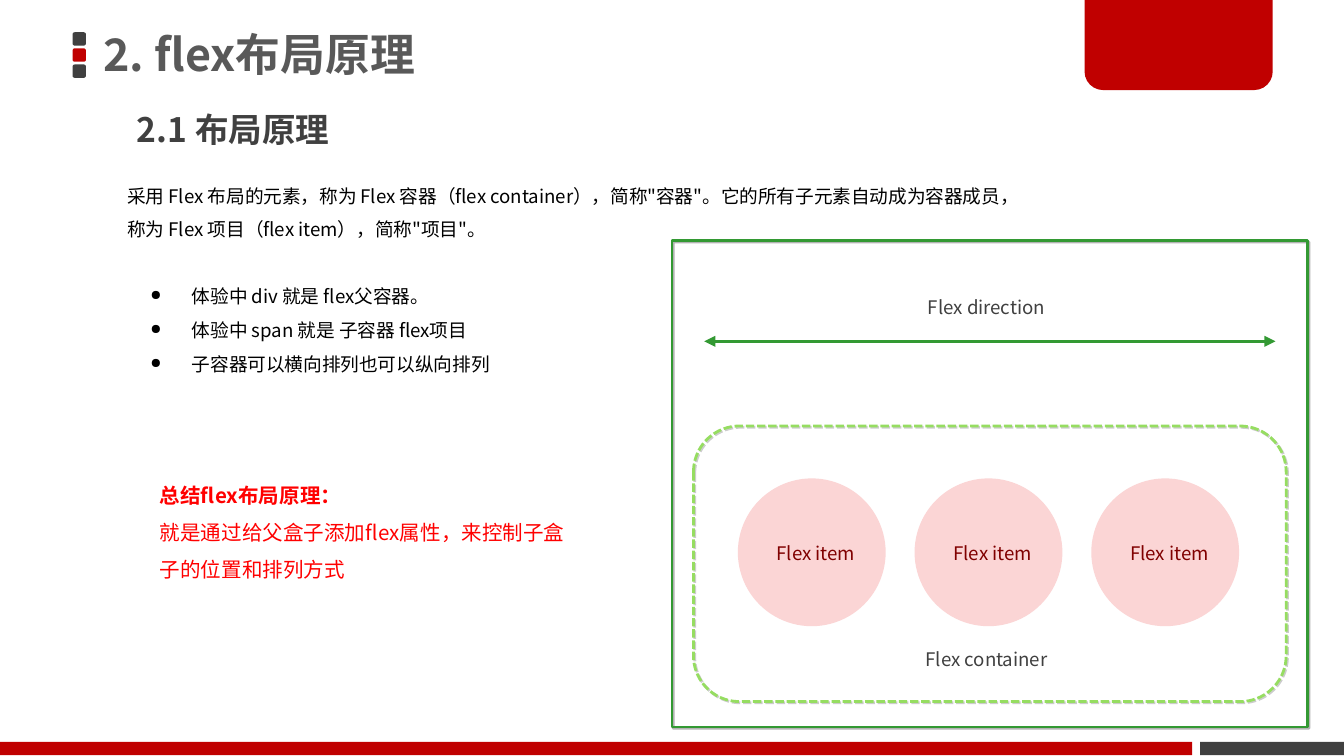
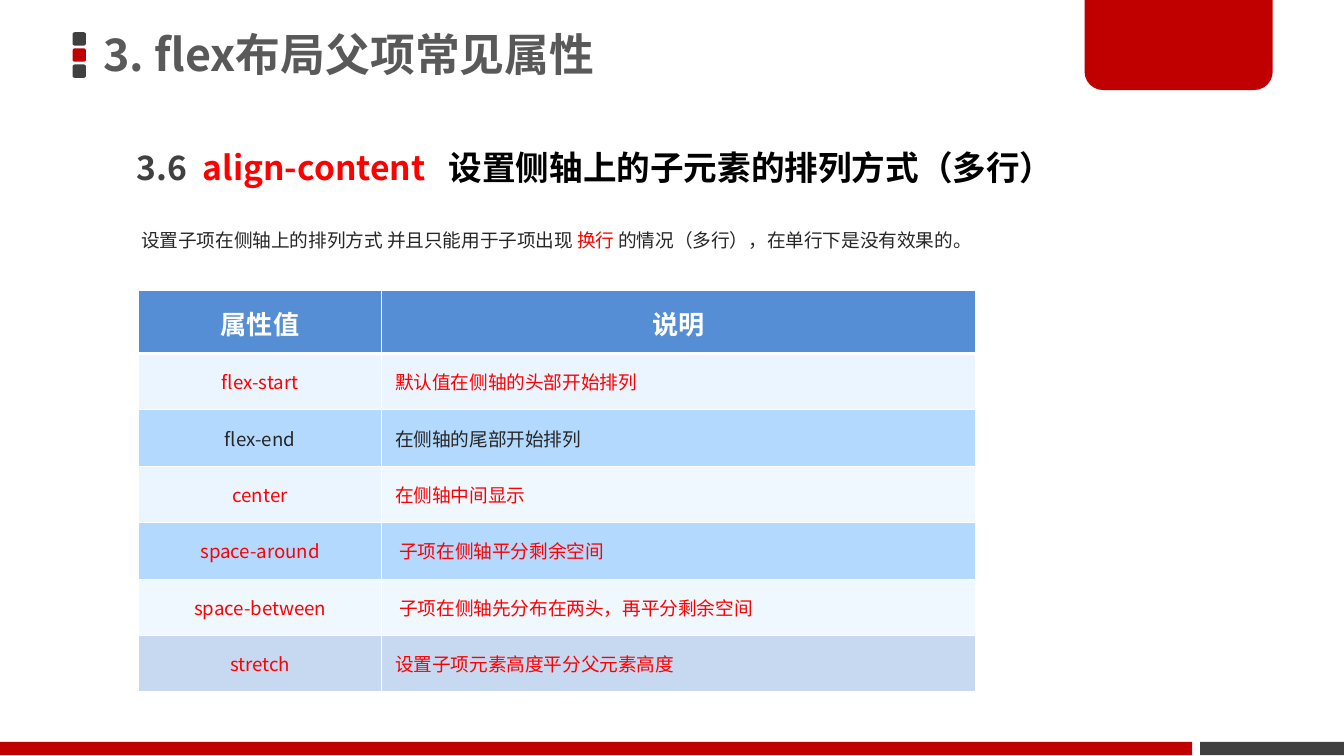
from dataclasses import dataclass

from lxml.etree import SubElement
from pptx import Presentation
from pptx.dml.color import RGBColor
from pptx.enum.dml import MSO_LINE
from pptx.enum.shapes import MSO_CONNECTOR, MSO_SHAPE
from pptx.enum.text import MSO_ANCHOR, MSO_AUTO_SIZE, PP_ALIGN
from pptx.oxml import parse_xml
from pptx.oxml.ns import nsdecls, qn
from pptx.util import Inches, Pt


@dataclass(frozen=True)
class Theme:
    font: str = "Noto Sans CJK SC"
    red: str = "C00000"
    dark: str = "404040"
    title: str = "595959"
    body: str = "262626"
    black: str = "000000"
    white: str = "FFFFFF"
    alert: str = "FF0000"
    green: str = "339933"
    lime: str = "96DD61"
    pink: str = "FBD5D5"
    maroon: str = "800000"
    header_blue: str = "558ED5"
    pale_blue: str = "EBF5FF"
    light_blue: str = "EFF7FF"
    sky_blue: str = "B3D9FF"
    grey_blue: str = "C6D9F1"
    title_size: int = 24
    heading_size: int = 18
    header_size: int = 14
    summary_size: int = 11
    body_size: int = 10


THEME = Theme()
BODY = {"size": THEME.body_size}
HEADING = {"size": THEME.heading_size, "bold": True}
OPEN_SPACING = {"line_spacing": 1.5}
CENTERED = {"alignment": PP_ALIGN.CENTER}


def inches(*lengths):
    return [Inches(length) for length in lengths]


def set_attributes(target, values):
    for name, value in values.items():
        setattr(target, name, value)


def fill_with(target, color):
    target.fill.solid()
    target.fill.fore_color.rgb = RGBColor.from_string(color)


def add_run(paragraph, text, color, size, bold=False):
    run = paragraph.add_run()
    run.text = text
    set_attributes(run.font, {"name": THEME.font, "size": Pt(size), "bold": bold})
    run.font.color.rgb = RGBColor.from_string(color)
    SubElement(run.font._element, qn("a:ea"), typeface=THEME.font)


def write(frame, paragraphs, layout=None, bullet=None, margin=0, indent=0, tabs=()):
    """Fill a text frame; each paragraph is a list of (text, color, font values)."""
    for number, runs in enumerate(paragraphs):
        paragraph = frame.add_paragraph() if number else frame.paragraphs[0]
        properties = paragraph._p.get_or_add_pPr()
        if margin:
            properties.set("marL", str(Inches(margin)))
            properties.set("indent", str(Inches(indent)))
        if bullet:
            bullet_color = SubElement(properties, qn("a:buClr"))
            SubElement(bullet_color, qn("a:srgbClr"), val=THEME.black)
            SubElement(properties, qn("a:buSzPct"), val="75000")
            SubElement(properties, qn("a:buChar"), char=bullet)
        if tabs:
            stops = SubElement(properties, qn("a:tabLst"))
            for stop in tabs:
                SubElement(stops, qn("a:tab"), pos=str(Inches(stop)), algn="l")
        set_attributes(paragraph, layout or {})
        for text, color, font in runs:
            add_run(paragraph, text, color, **font)


def add_text(slide, box, paragraphs, layout=None, frame_values=None, **paragraph_marks):
    frame = slide.shapes.add_textbox(*inches(*box)).text_frame
    set_attributes(frame, {"word_wrap": True, "auto_size": MSO_AUTO_SIZE.SHAPE_TO_FIT_TEXT,
                           **(frame_values or {})})
    write(frame, paragraphs, layout, **paragraph_marks)


def add_block(slide, preset, box, color, adjustments=()):
    block = slide.shapes.add_shape(preset, *inches(*box))
    block.shadow.inherit = False
    fill_with(block, color)
    block.line.fill.background()
    for number, value in enumerate(adjustments):
        block.adjustments[number] = value


def add_outline(slide, preset, box, color, shadow_color, dash=None):
    """Add an unfilled frame with a thin offset shadow."""
    outline = slide.shapes.add_shape(preset, *inches(*box))
    outline.fill.background()
    outline.line.color.rgb = RGBColor.from_string(color)
    set_attributes(outline.line, {"width": Pt(1.5), "dash_style": dash})
    outline.shadow.inherit = False
    effects = outline._element.spPr.find(qn("a:effectLst"))
    shadow = SubElement(effects, qn("a:outerShdw"), blurRad="0", dist=str(Pt(1)),
                        dir=str(45 * 60000), algn="tl", rotWithShape="0")
    tint = SubElement(shadow, qn("a:srgbClr"), val=shadow_color)
    SubElement(tint, qn("a:alpha"), val="30000")


def add_double_arrow(slide, start, end, color):
    arrow = slide.shapes.add_connector(MSO_CONNECTOR.STRAIGHT, *inches(*start, *end))
    arrow.line.color.rgb = RGBColor.from_string(color)
    arrow.line.width = Pt(1.5)
    line = arrow.line._get_or_add_ln()
    for side in ("a:headEnd", "a:tailEnd"):
        SubElement(line, qn(side), type="triangle")
    SubElement(arrow._element.spPr, qn("a:effectLst"))


def add_titled_slide(deck, title):
    """Add a slide with the shared marks, corner tab, footer bands and title."""
    slide = deck.slides.add_slide(deck.slide_layouts[6])
    for number, color in enumerate((THEME.dark, THEME.red, THEME.dark)):
        add_block(slide, MSO_SHAPE.ROUNDED_RECTANGLE,
                  (0.54, 0.24 + 0.12 * number, 0.1, 0.1), color)
    add_block(slide, MSO_SHAPE.RECTANGLE, (8.93, 5.52, 1.07, 0.1), THEME.dark)
    add_block(slide, MSO_SHAPE.ROUND_2_SAME_RECTANGLE, (8.07, -0.02, 1.4, 0.69),
              THEME.red, (0, 0.2))
    add_block(slide, MSO_SHAPE.RECTANGLE, (0, 5.52, 8.87, 0.1), THEME.red)
    add_text(slide, (0.69, -0.02, 5.89, 0.89),
             [[(title, THEME.title, {"size": THEME.title_size, "bold": True})]],
             {"line_spacing": 0.9},
             {"auto_size": MSO_AUTO_SIZE.NONE, "vertical_anchor": MSO_ANCHOR.MIDDLE,
              "margin_left": Inches(0.08), "margin_right": Inches(0.08),
              "margin_top": Inches(0.04), "margin_bottom": Inches(0.04)})
    return slide


def add_label(slide, left, top, width, text, color):
    add_text(slide, (left, top, width, 0.27), [[(text, color, BODY)]], CENTERED)


def add_flex_diagram(slide):
    first_item, last_item, item_size = 5.49, 8.12, 1.1
    item_step = (last_item - first_item) / 2
    for number in range(3):
        left = first_item + item_step * number
        add_block(slide, MSO_SHAPE.OVAL, (left, 3.56, item_size, item_size), THEME.pink)
        add_label(slide, left - 0.13, 3.98, 1.42, "Flex item", THEME.maroon)
    add_outline(slide, MSO_SHAPE.ROUNDED_RECTANGLE, (5.16, 3.17, 4.41, 2.05),
                THEME.lime, THEME.title, MSO_LINE.SQUARE_DOT)
    add_label(slide, 6.39, 4.77, 1.9, "Flex container", THEME.dark)
    add_double_arrow(slide, (9.49, 2.54), (5.24, 2.54), THEME.green)
    add_label(slide, 6.39, 2.15, 1.9, "Flex direction", THEME.dark)
    add_outline(slide, MSO_SHAPE.RECTANGLE, (5, 1.79, 4.73, 3.62), THEME.green, THEME.black)


def set_borders(cell, top, bottom):
    properties = cell._tc.get_or_add_tcPr()
    widths = {"lnL": 0.45, "lnR": 0.45, "lnT": top, "lnB": bottom}
    for position, (side, width) in enumerate(widths.items()):
        properties.insert(position, parse_xml(
            f'<a:{side} {nsdecls("a")} w="{Pt(width)}"><a:solidFill>'
            f'<a:srgbClr val="{THEME.white}"/></a:solidFill></a:{side}>'))


def add_value_table(slide, headers, rows):
    """Rows hold value, description, text color and the fills of both cells."""
    header_height, row_height, widths = 0.47, 0.42, (1.81, 4.42)
    height = header_height + row_height * len(rows)
    table = slide.shapes.add_table(len(rows) + 1, len(widths),
                                   *inches(1.03, 2.16, sum(widths), height)).table
    for column, width in zip(table.columns, widths):
        column.width = Inches(width)
    for number, row in enumerate(table.rows):
        row.height = Inches(row_height if number else header_height)

    header_font = {"size": THEME.header_size, "bold": True}
    for column, header in enumerate(headers):
        cell = table.cell(0, column)
        fill_with(cell, THEME.header_blue)
        set_borders(cell, 0.45, 1.47)
        write(cell.text_frame, [[(header, THEME.white, header_font)]],
              {**CENTERED, "line_spacing": Pt(24)})

    for number, (value, description, color, fills) in enumerate(rows, 1):
        for column, text in enumerate((value, description)):
            cell = table.cell(number, column)
            fill_with(cell, fills[column])
            set_borders(cell, 1.47 if number == 1 else 0.45, 0.45)
            cell.vertical_anchor = MSO_ANCHOR.MIDDLE
            write(cell.text_frame, [[(text, color, BODY)]], {} if column else CENTERED)


def build_principle_slide(deck):
    slide = add_titled_slide(deck, "2. flex布局原理")
    add_flex_diagram(slide)
    add_text(slide, (0.92, 0.61, 3.84, 0.55),
             [[("2.1 布局原理", THEME.dark, HEADING)]], OPEN_SPACING)
    points = ("体验中 div 就是 flex父容器。",
              "体验中 span 就是 子容器 flex项目",
              "子容器可以横向排列也可以纵向排列")
    add_text(slide, (0.52, 1.99, 3.38, 0.85),
             [[(point, THEME.black, BODY)] for point in points],
             OPEN_SPACING, bullet="●", margin=0.81, indent=-0.31)
    summary = {"size": THEME.summary_size}
    add_text(slide, (1.09, 3.45, 3.22, 0.93),
             [[("总结flex布局原理：", THEME.alert, {**summary, "bold": True})],
              [("就是通过给父盒子添加flex属性，来控制子盒子的位置和排列方式", THEME.alert, summary)]],
             OPEN_SPACING)
    introduction = ('采用 Flex 布局的元素，称为 Flex 容器（flex container），简称"容器"。'
                    '它的所有子元素自动成为容器成员，称为 Flex 项目（flex item），简称"项目"。')
    add_text(slide, (0.35, 1.24, 7.23, 0.6), [[(introduction, THEME.black, BODY)]],
             OPEN_SPACING, margin=0.5)


def build_align_content_slide(deck):
    slide = add_titled_slide(deck, "3. flex布局父项常见属性")
    add_text(slide, (0.92, 0.89, 8.14, 0.55),
             [[("3.6\t", THEME.dark, HEADING),
               ("align-content\t", THEME.alert, HEADING),
               ("设置侧轴上的子元素的排列方式（多行）", THEME.black, HEADING)]],
             OPEN_SPACING, tabs=(0.49, 2.32))
    add_text(slide, (0.92, 1.57, 8.31, 0.35),
             [[(" 设置子项在侧轴上的排列方式 并且只能用于子项出现 ", THEME.body, BODY),
               ("换行 ", THEME.alert, BODY),
               ("的情况（多行），在单行下是没有效果的。", THEME.body, BODY)]],
             OPEN_SPACING)
    pale, light, sky, grey = (THEME.pale_blue, THEME.light_blue,
                              THEME.sky_blue, THEME.grey_blue)
    add_value_table(slide, ("属性值", "说明"), (
        ("flex-start", "默认值在侧轴的头部开始排列", THEME.alert, (pale, pale)),
        ("flex-end", "在侧轴的尾部开始排列", THEME.body, (sky, sky)),
        ("center", "在侧轴中间显示", THEME.alert, (pale, light)),
        ("space-around", " 子项在侧轴平分剩余空间", THEME.alert, (sky, sky)),
        ("space-between", " 子项在侧轴先分布在两头，再平分剩余空间", THEME.alert,
         (light, light)),
        ("stretch", "设置子项元素高度平分父元素高度", THEME.alert, (grey, grey)),
    ))


def main():
    deck = Presentation()
    deck.slide_width = Inches(10)
    deck.slide_height = deck.slide_width * 9 // 16
    build_principle_slide(deck)
    build_align_content_slide(deck)
    deck.save("out.pptx")


if __name__ == "__main__":
    main()
